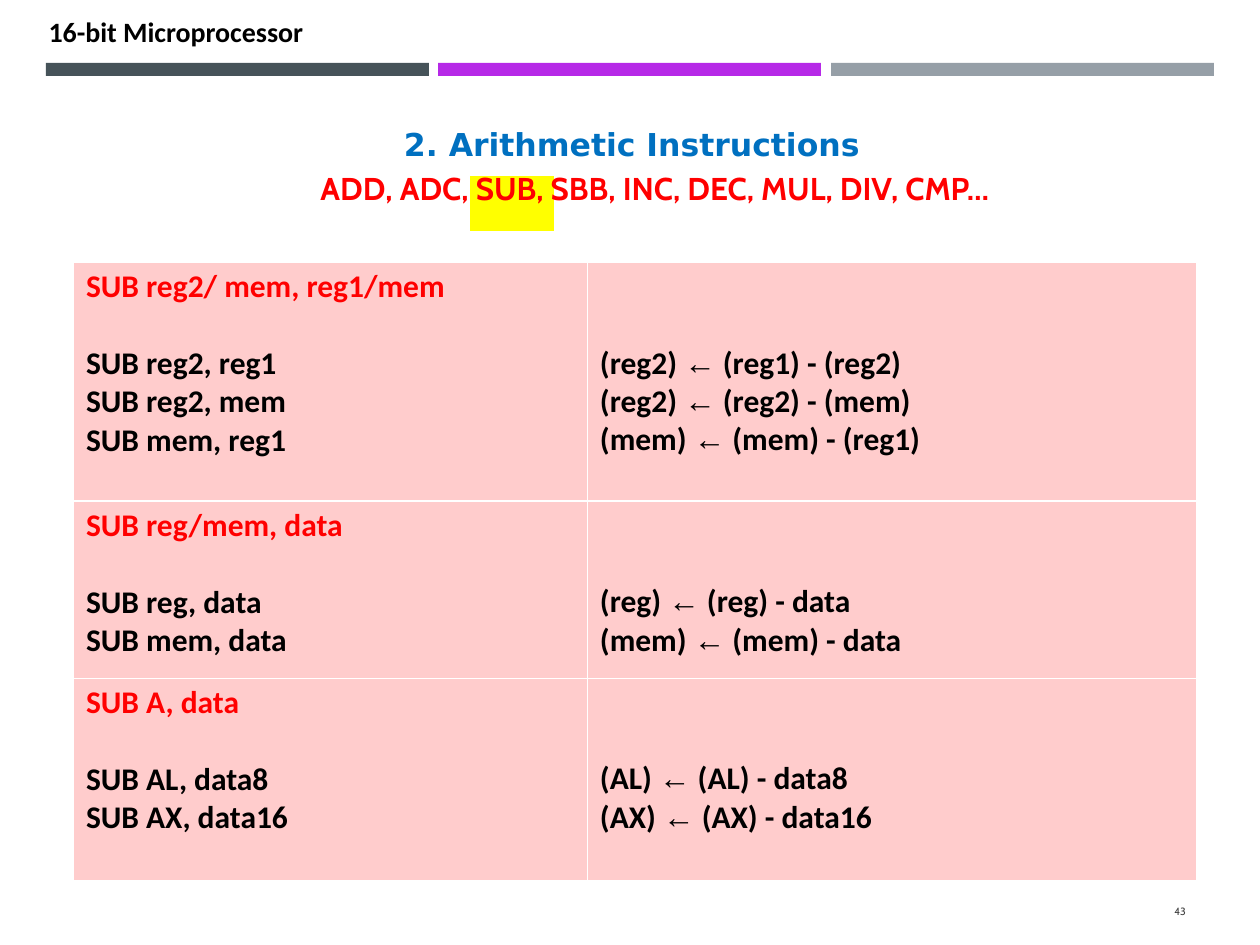
from lxml import etree
from pptx import Presentation
from pptx import util as u
from pptx.dml.color import RGBColor
from pptx.enum import shapes, text
from pptx.oxml.ns import qn

SCALE = 914400 / 126
RED, BLACK, WHITE, PINK = "FF0000", "000000", "FFFFFF", "FFCCCC"
LINE = 38  # height of one table text line
ARROW = "←"


def px(length):
    return u.Emu(round(length * SCALE))


def color(value):
    return RGBColor.from_string(value)


class SlideBuilder:
    """Holds the text style and the slide being drawn."""
    font, size = "Calibri", 18
    margins = (13, 6)

    def __init__(self, slide):
        self.slide = slide

    def rectangle(self, x, y, width, height, fill):
        shape = self.slide.shapes.add_shape(
            shapes.MSO_SHAPE.RECTANGLE, px(x), px(y), px(width), px(height))
        shape.shadow.inherit = False
        shape.fill.solid()
        shape.fill.fore_color.rgb = color(fill)
        shape.line.fill.background()

    def run(self, paragraph, words, fill, font=None, size=None, bold=True):
        run = paragraph.add_run()
        run.text = words
        run.font.name = font or self.font
        run.font.size = u.Pt(size or self.size)
        run.font.bold = bold
        run.font.color.rgb = color(fill)

    def fill_box(self, shape, words, x, y, width, height, fill,
                 align=text.PP_ALIGN.CENTER, anchor=text.MSO_ANCHOR.MIDDLE, **style):
        shape.left, shape.top, shape.width, shape.height = map(px, (x, y, width, height))
        frame = shape.text_frame
        frame.word_wrap = True
        frame.auto_size = text.MSO_AUTO_SIZE.NONE
        frame.vertical_anchor = anchor
        frame.margin_left = frame.margin_right = px(self.margins[0])
        frame.margin_top = frame.margin_bottom = px(self.margins[1])
        paragraph = frame.paragraphs[0]
        paragraph.alignment = align
        self.run(paragraph, words, fill, **style)

    def title(self, words, *box, **style):
        self.fill_box(self.slide.shapes.title, words, *box, **style)

    def label(self, words, *box, **style):
        shape = self.slide.shapes.add_textbox(0, 0, 0, 0)
        self.fill_box(shape, words, *box, **style)

    def border(self, cell, side, width):
        line = etree.SubElement(cell._tc.get_or_add_tcPr(), qn(f"a:ln{side}"),
                                w=str(u.Pt(width)))
        solid = etree.SubElement(line, qn("a:solidFill"))
        etree.SubElement(solid, qn("a:srgbClr"), val=WHITE)

    def cell(self, cell, lines, top_margin, widths):
        """Write one paragraph per (runs, gap before); a run is (words, colour, font)."""
        for side, width in widths.items():
            self.border(cell, side, width)
        cell.fill.solid()
        cell.fill.fore_color.rgb = color(PINK)
        cell.margin_left = cell.margin_right = px(self.margins[0])
        cell.margin_top, cell.margin_bottom = px(top_margin), px(self.margins[1])
        frame = cell.text_frame
        for index, (runs, gap) in enumerate(lines):
            paragraph = frame.add_paragraph() if index else frame.paragraphs[0]
            if gap:
                paragraph.space_before = px(gap)
            for words, fill, font in runs:
                self.run(paragraph, words, fill, font)

    def table(self, x, y, columns, heights, groups):
        table = self.slide.shapes.add_table(
            len(heights), len(columns), px(x), px(y),
            px(sum(columns)), px(sum(heights))).table
        table.first_row = table.horz_banding = False
        for column, width in zip(table.columns, columns):
            column.width = px(width)
        for index, (heading, operations) in enumerate(groups):
            table.rows[index].height = px(heights[index])
            thin, thick = 0.45, 1.47
            widths = {"L": thin, "R": thin, "T": thick if index == 1 else thin,
                      "B": thick if index == 0 else thin}
            codes = [([(heading, RED, None)], 0)]
            effects = []
            for number, (code, target, value) in enumerate(operations):
                codes.append(([(code, BLACK, None)], 0 if number else LINE))
                effects.append(([(f"({target}) ", BLACK, None), (ARROW, BLACK, "Arial"),
                                 (f" {value}", BLACK, None)], 0))
            top = self.margins[1]
            self.cell(table.cell(index, 0), codes, top, widths)
            self.cell(table.cell(index, 1), effects, top + 2 * LINE, widths)


GROUPS = [
    ("SUB reg2/ mem, reg1/mem", [
        ("SUB reg2, reg1", "reg2", "(reg1) - (reg2)"),
        ("SUB reg2, mem", "reg2", "(reg2) - (mem)"),
        ("SUB mem, reg1", "mem", "(mem) - (reg1)")]),
    ("SUB reg/mem, data", [
        ("SUB reg, data", "reg", "(reg) - data"),
        ("SUB mem, data", "mem", "(mem) - data")]),
    ("SUB A, data", [
        ("SUB AL, data8", "AL", "(AL) - data8"),
        ("SUB AX, data16", "AX", "(AX) - data16")]),
]


def main():
    presentation = Presentation()
    presentation.slide_width, presentation.slide_height = px(1260), px(945)
    slide = presentation.slides.add_slide(presentation.slide_layouts[5])
    builder = SlideBuilder(slide)

    for index, fill in enumerate(("465359", "B629E7", "969FA7")):
        builder.rectangle(46 + index * 785 // 2, 63, 383, 13, fill)
    builder.rectangle(470, 176, 84, 55, "FFFF00")

    top = text.MSO_ANCHOR.TOP
    builder.title("2. Arithmetic Instructions", 36, 117, 1192, 54, "0070C0",
                  font="DejaVu Sans")
    builder.label("43", 1091, 886, 108, 50, "404040", align=text.PP_ALIGN.RIGHT,
                  font="Cabin", size=6, bold=False)
    builder.label("16-bit Microprocessor", 8, 9, 336, 47, BLACK, anchor=top, size=16)
    builder.label("ADD, ADC, SUB, SBB, INC, DEC, MUL, DIV, CMP…", 59, 163, 1192, 50,
                  RED, anchor=top, font="Cabin")
    builder.table(73, 262, (514, 609), (239, 177, 202), GROUPS)

    presentation.save("out.pptx")


if __name__ == "__main__":
    main()
